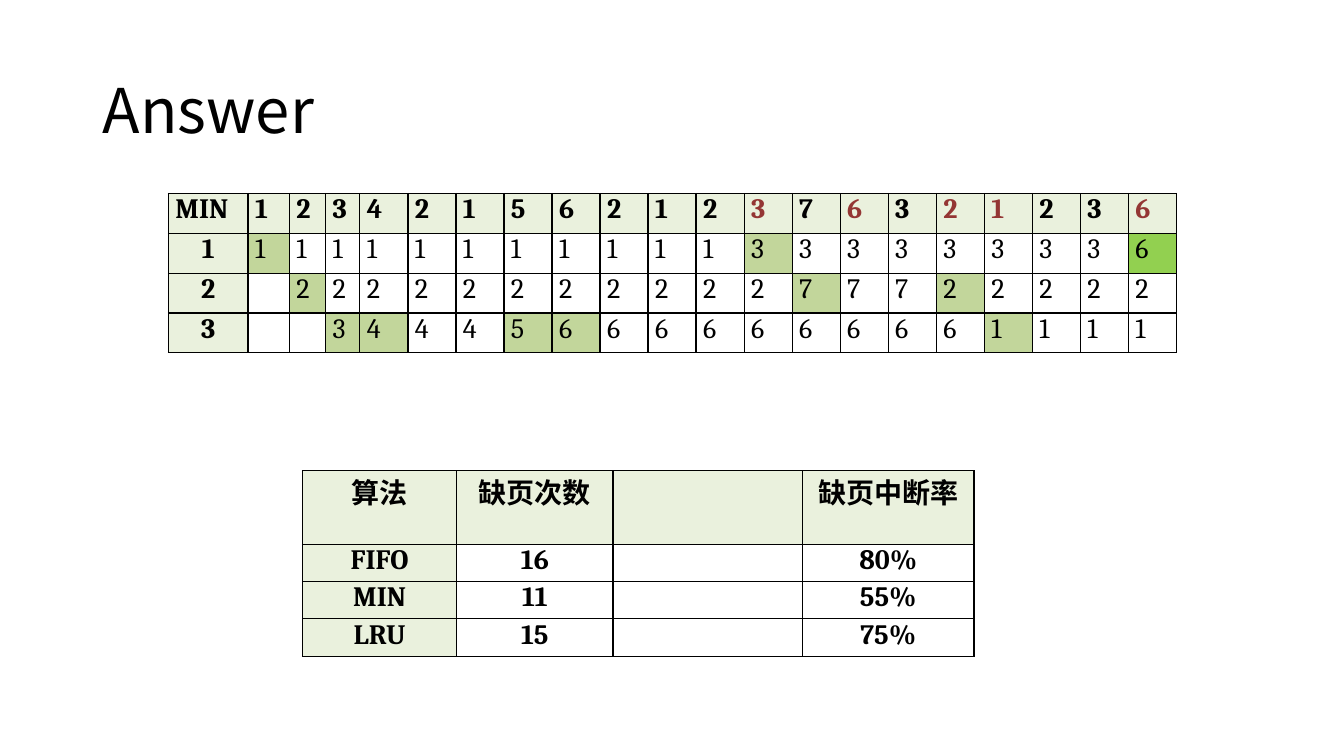
import pptx
import pptx.util
import pptx.dml.color
import pptx.enum.text
import lxml.etree

TITLE = "Answer"
REQUESTS = "1 2 3 4 2 1 5 6 2 1 2 3 7 6 3 2 1 2 3 6".split()
# One character per request, "-" for an empty frame
FRAMES = ["11111111111333333336",
          "-2222222222277722222",
          "--344456666666661111"]
RED_REQUESTS = {12, 14, 16, 17, 20}
SUMMARY = [("算法", "缺页次数", "", "缺页中断率"),
           ("FIFO", "16", "", "80%"),
           ("MIN", "11", "", "55%"),
           ("LRU", "15", "", "75%")]

WIDTH, HEIGHT = 13.33, 7.5
TRACE_BOX = (1.67, 1.92, 10, 1.58)
FIRST_COLUMNS = [0.79, 0.41, 0.36, 0.34]
SUMMARY_BOX = (3, 4.67, 6.66, 1.83)
SUMMARY_COLUMNS = [1.53, 1.55, 1.88, 1.7]
SUMMARY_ROWS = [0.73, 0.37, 0.37, 0.37]

BLACK, RED = "000000", "943634"
HEADING, FAULT, LAST_FAULT = "EAF1DD", "C2D69B", "92D050"
LATIN, CHINESE = "Cambria", "Noto Sans CJK SC"
ALIGN = pptx.enum.text.PP_ALIGN
inches = pptx.util.Inches
qn = pptx.oxml.ns.qn


def rgb(value):
    return pptx.dml.color.RGBColor.from_string(value)


def write(para, text, face, size, color=BLACK, bold=False):
    span = para.add_run()
    span.text = text
    formats = {"name": face, "size": pptx.util.Pt(size), "bold": bold}
    for name, value in formats.items():
        setattr(span.font, name, value)
    span.font.color.rgb = rgb(color)
    east_asian = lxml.etree.SubElement(span.font._element, qn("a:ea"))
    east_asian.set("typeface", CHINESE)


def add_borders(cell):
    properties = cell._tc.get_or_add_tcPr()
    for side in ("lnL", "lnR", "lnT", "lnB"):
        line = lxml.etree.SubElement(properties, qn("a:" + side), w="12700")
        solid = lxml.etree.SubElement(line, qn("a:solidFill"))
        lxml.etree.SubElement(solid, qn("a:srgbClr"), val=BLACK)


def fill_cell(cell, text, fill=None, align=ALIGN.CENTER, color=BLACK, bold=True):
    margins = {"margin_left": 0.07, "margin_right": 0.07,
               "margin_top": 0, "margin_bottom": 0}
    for name, value in margins.items():
        setattr(cell, name, inches(value))
    add_borders(cell)
    if fill:
        cell.fill.solid()
        cell.fill.fore_color.rgb = rgb(fill)
    else:
        cell.fill.background()
    if text:
        para = cell.text_frame.paragraphs[0]
        para.alignment = align
        write(para, text, LATIN, 20, color, bold)


def add_grid(page, box, widths, heights):
    frame = page.shapes.add_table(len(heights), len(widths), *map(inches, box))
    grid = frame.table
    grid.first_row = grid.horz_banding = False
    for column, width in zip(grid.columns, widths):
        column.width = inches(width)
    for row, height in zip(grid.rows, heights):
        row.height = inches(height)
    return grid


def add_trace(page):
    """Page-replacement trace; a frame is shaded where its content changes."""
    equal_columns = len(REQUESTS) + 1 - len(FIRST_COLUMNS)
    equal_width = (TRACE_BOX[2] - sum(FIRST_COLUMNS)) / equal_columns
    widths = FIRST_COLUMNS + [equal_width] * equal_columns
    row_count = len(FRAMES) + 1
    grid = add_grid(page, TRACE_BOX, widths, [TRACE_BOX[3] / row_count] * row_count)
    for c, text in enumerate(["MIN"] + REQUESTS):
        fill_cell(grid.cell(0, c), text, HEADING, ALIGN.JUSTIFY,
                  RED if c in RED_REQUESTS else BLACK)
    for r, pages in enumerate(FRAMES, 1):
        fill_cell(grid.cell(r, 0), str(r), HEADING)
        for c, (before, now) in enumerate(zip("-" + pages, pages), 1):
            fault = LAST_FAULT if c == len(REQUESTS) else FAULT
            fill_cell(grid.cell(r, c), now.strip("-"),
                      fault if now != before else None, ALIGN.JUSTIFY, bold=False)


def add_summary(page):
    grid = add_grid(page, SUMMARY_BOX, SUMMARY_COLUMNS, SUMMARY_ROWS)
    for r, texts in enumerate(SUMMARY):
        for c, text in enumerate(texts):
            fill_cell(grid.cell(r, c), text, None if r and c else HEADING)


def main():
    deck = pptx.Presentation()
    deck.slide_width, deck.slide_height = inches(WIDTH), inches(HEIGHT)
    page = deck.slides.add_slide(deck.slide_layouts[5])
    title = page.shapes.title
    title_box = {"left": 0.92, "top": 0.4, "width": 11.5, "height": 1.45}
    for name, value in title_box.items():
        setattr(title, name, inches(value))
    title.text_frame.vertical_anchor = pptx.enum.text.MSO_ANCHOR.MIDDLE
    para = title.text_frame.paragraphs[0]
    para.alignment = ALIGN.LEFT
    para.line_spacing = 0.9
    write(para, TITLE, CHINESE, 44)
    add_trace(page)
    add_summary(page)
    deck.save("out.pptx")


if __name__ == "__main__":
    main()
